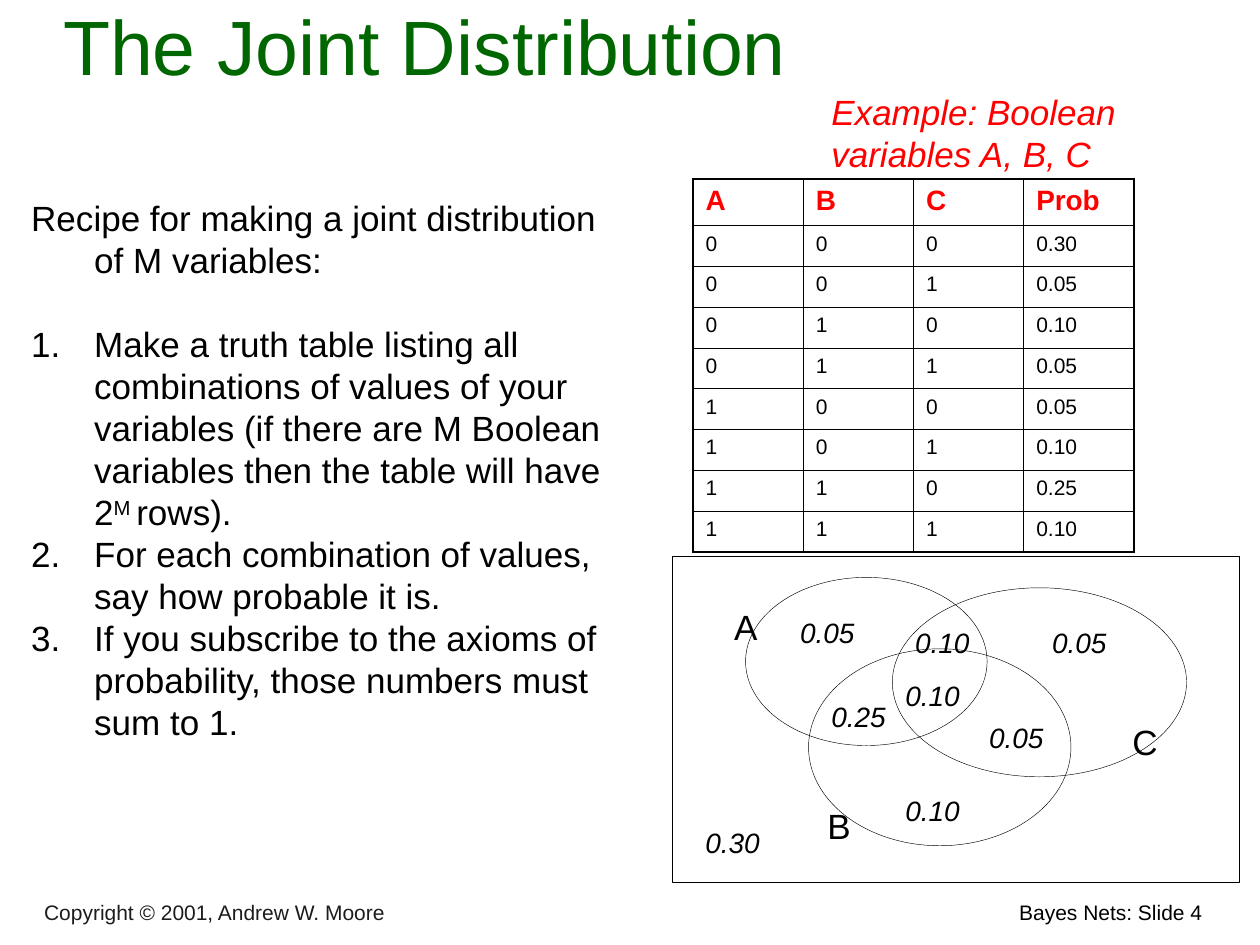
from itertools import product

from lxml import etree
from pptx import Presentation
from pptx import util as u
from pptx.dml.color import RGBColor
from pptx.enum import shapes, text
from pptx.oxml.ns import qn

Cm, Pt = u.Cm, u.Pt
FONT = "Arial"
COLORS = {"ink": "000000", "title": "006600", "accent": "FF0000", "footer": "1C1C1C"}
THIN, THICK = Pt(0.45), Pt(1.08)
LEFT, CENTER, RIGHT = text.PP_ALIGN.LEFT, text.PP_ALIGN.CENTER, text.PP_ALIGN.RIGHT
TOP, BOTTOM = text.MSO_ANCHOR.TOP, text.MSO_ANCHOR.BOTTOM


def color(name):
    return RGBColor.from_string(COLORS[name])


def add_run(p, words, size, name="ink", bold=False, italic=False):
    r = p.add_run()
    r.text = words
    r.font.name, r.font.size = FONT, Pt(size)
    r.font.bold, r.font.italic = bold, italic
    r.font.color.rgb = color(name)
    return r


def add_frame(s, box, wrap=True, anchor=TOP):
    tf = s.shapes.add_textbox(*map(Cm, box)).text_frame
    tf.word_wrap, tf.vertical_anchor = wrap, anchor
    return tf


def add_label(s, box, words, size, name="ink", italic=False, align=LEFT,
              wrap=True, anchor=TOP):
    p = add_frame(s, box, wrap, anchor).paragraphs[0]
    p.alignment = align
    if size < 40:
        p.line_spacing = Pt(size * 1.2)
    add_run(p, words, size, name, italic=italic)


def add_outline(s, kind, box):
    sp = s.shapes.add_shape(kind, *map(Cm, box))
    sp.shadow.inherit = False
    sp.fill.background()
    sp.line.color.rgb = color("ink")
    sp.line.width = Pt(0.25)


def add_recipe(s, box):
    steps = [
        ["Recipe for making a joint distribution of M variables:"],
        ["Make a truth table listing all combinations of values of your variables "
         "(if there are M Boolean variables then the table will have 2", "M ", "rows)."],
        ["For each combination of values, say how probable it is."],
        ["If you subscribe to the axioms of probability, those numbers must sum to 1."],
    ]
    tf = add_frame(s, box)
    for i, parts in enumerate(steps):
        p = tf.add_paragraph() if i else tf.paragraphs[0]
        pPr = p._p.get_or_add_pPr()
        pPr.set("marL", str(Cm(1.27)))
        pPr.set("indent", str(-Cm(1.27)))
        if i:
            etree.SubElement(pPr, qn("a:buAutoNum"), type="arabicPeriod")
        p.line_spacing = Pt(24)
        if i == 1:
            p.space_before = Pt(24)
        for j, part in enumerate(parts):
            r = add_run(p, part, 20)
            if j == 1:
                r._r.get_or_add_rPr().set("baseline", "30000")


def set_borders(cell, widths):
    """Draw the left, right, top and bottom edges of a cell."""
    tcPr = cell._tc.get_or_add_tcPr()
    for i, (side, width) in enumerate(zip("LRTB", widths)):
        ln = etree.Element(qn(f"a:ln{side}"), w=str(width))
        fill = etree.SubElement(ln, qn("a:solidFill"))
        etree.SubElement(fill, qn("a:srgbClr"), val=COLORS["ink"])
        tcPr.insert(i, ln)


def add_joint_table(s, box):
    probs = ["0.30", "0.05", "0.10", "0.05", "0.05", "0.10", "0.25", "0.10"]
    rows = [["A", "B", "C", "Prob"]]
    rows += [[*bits, prob] for bits, prob in zip(product("01", repeat=3), probs)]
    last_row, last_col = len(rows) - 1, len(rows[0]) - 1
    table = s.shapes.add_table(len(rows), len(rows[0]), *map(Cm, box)).table
    table.first_row = table.horz_banding = False
    for col in table.columns:
        col.width = Cm(box[2] / len(rows[0]))
    for i, values in enumerate(rows):
        table.rows[i].height = Cm((box[3] - 0.94) / last_row if i else 0.94)
        for j, value in enumerate(values):
            cell = table.cell(i, j)
            cell.fill.background()
            edges = (j == 0, j == last_col, i == 0, i == last_row)
            set_borders(cell, [THICK if outer else THIN for outer in edges])
            p = cell.text_frame.paragraphs[0]
            if i:
                add_run(p, value, 12)
            else:
                add_run(p, value, 16, "accent", bold=True)


def add_venn(s):
    add_outline(s, shapes.MSO_SHAPE.RECTANGLE, (13.55, 11.22, 11.43, 6.56))
    for box in [(15.03, 11.64, 4.87, 3.39), (16.3, 13.08, 5.29, 3.97),
                (17.99, 11.85, 5.93, 3.81)]:
        add_outline(s, shapes.MSO_SHAPE.OVAL, box)
    for words, x, y in [("A", 14.55, 12.09), ("B", 16.43, 16.1), ("C", 22.58, 14.4)]:
        add_label(s, (x, y, 0.97, 1.11), words, 20, align=CENTER, wrap=False)
    for words, x, y in [("0.05", 19.69, 14.4), ("0.25", 16.51, 13.97),
                        ("0.10", 18.2, 12.49), ("0.05", 20.96, 12.49),
                        ("0.05", 15.88, 12.28), ("0.10", 18, 13.55),
                        ("0.10", 18, 15.88), ("0.30", 13.97, 16.51)]:
        add_label(s, (x, y, 1.6, 0.94), words, 16, italic=True, wrap=False)


def main():
    prs = Presentation()
    prs.slide_width, prs.slide_height = Cm(25.4), Cm(19.05)
    s = prs.slides.add_slide(prs.slide_layouts[6])

    # Footer
    add_label(s, (14.53, 18.01, 9.96, 0.76), "Bayes Nets: Slide 4", 12, align=RIGHT)
    add_label(s, (0.64, 18.06, 14.1, 0.71), "Copyright © 2001, Andrew W. Moore", 12,
              "footer", anchor=BOTTOM)

    # Title and recipe
    add_label(s, (0.2, 0.43, 16.74, 1.52), "The Joint Distribution", 44, "title",
              align=CENTER, anchor=BOTTOM)
    add_recipe(s, (0.38, 3.84, 12.32, 12.12))

    # Worked example: truth table and Venn diagram
    add_label(s, (16.51, 1.7, 8.46, 1.96), "Example: Boolean variables A, B, C", 20,
              "accent", italic=True)
    add_joint_table(s, (13.97, 3.61, 8.89, 7.52))
    add_venn(s)

    prs.save("out.pptx")


if __name__ == "__main__":
    main()
